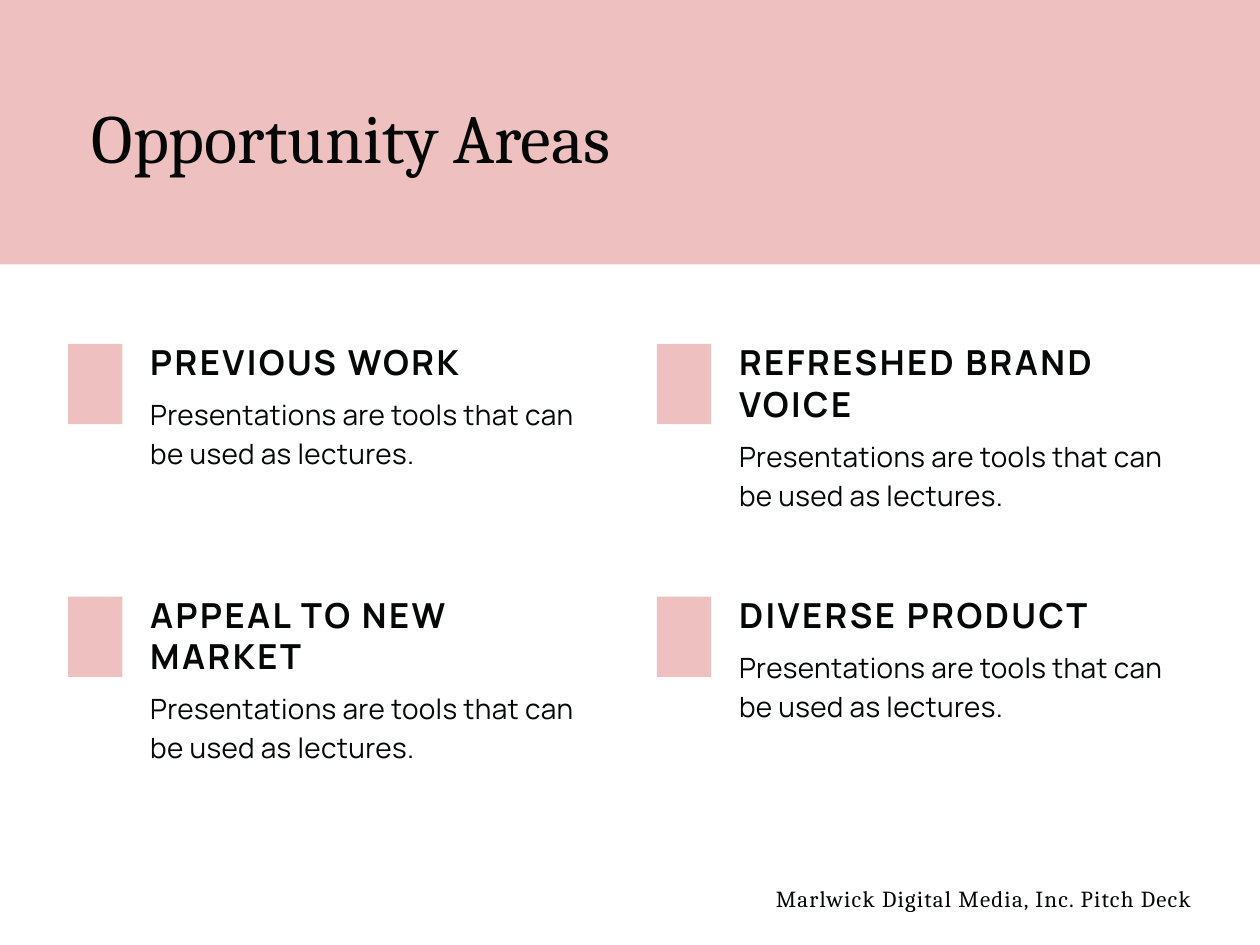
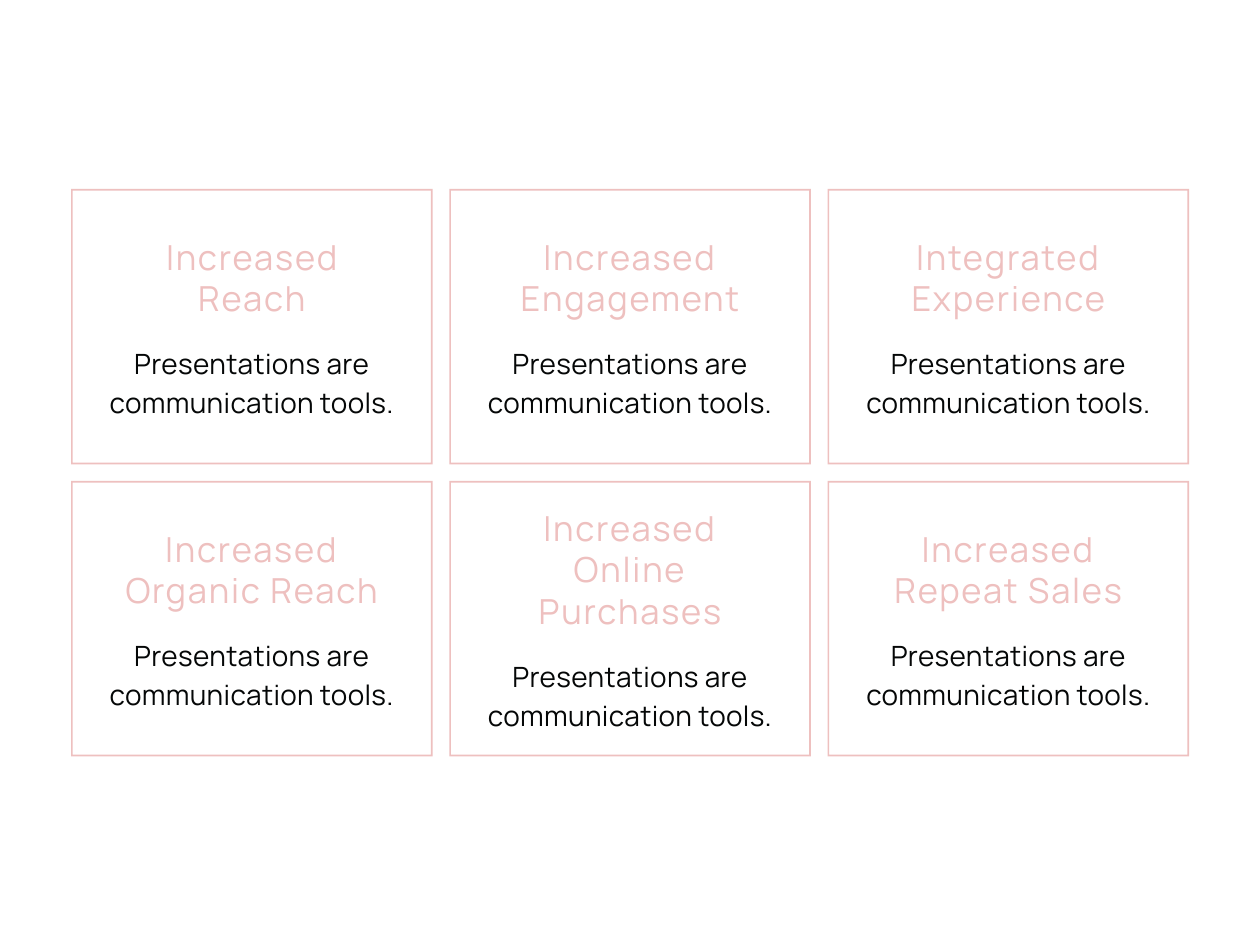
import pptx
import pptx.dml.color
import pptx.enum.shapes
import pptx.enum.text
import pptx.util

Pt = pptx.util.Pt
ALIGN = pptx.enum.text.PP_ALIGN

# Content
TITLE = "Opportunity Areas"
FOOTER = "Marlwick Digital Media, Inc. Pitch Deck"
AREA_TEXT = "Presentations are tools that can be used as lectures."
BENEFIT_TEXT = "Presentations are communication tools."
# Each heading comes with the number of lines it fills
AREAS = [
    [("PREVIOUS WORK", 1), ("REFRESHED BRAND VOICE", 2)],
    [("APPEAL TO NEW MARKET", 2), ("DIVERSE PRODUCT", 1)],
]
BENEFITS = [
    [("Increased\nReach", 2), ("Increased Engagement", 2), ("Integrated Experience", 2)],
    [("Increased Organic Reach", 2), ("Increased Online Purchases", 3), ("Increased Repeat Sales", 2)],
]

# Shared look
PINK, INK = "EEC0BF", "050707"
SLIDE_SIZE = (768.24, 576)
HEADING_LINE = 25.2
BODY_HEIGHT = 46.8


def text_style(font, size, line, color=INK, spacing=0, bold=False, align=ALIGN.LEFT):
    return {
        "font": {"name": font, "size": Pt(size), "bold": bold},
        "paragraph": {"line_spacing": Pt(line), "space_before": Pt(0), "alignment": align},
        "color": color,
        "spacing": spacing,
    }


TITLE_STYLE = text_style("Cambria", 42, 50.4)
FOOTER_STYLE = text_style("Cambria", 14, 19.6, spacing=0.7, align=ALIGN.RIGHT)
AREA_HEADING = text_style("Manrope", 21, HEADING_LINE, spacing=1.5, bold=True)
AREA_BODY = text_style("Manrope", 17, 23.8, spacing=0.2)
BENEFIT_HEADING = text_style("Manrope", 21, HEADING_LINE, PINK, 1.1, align=ALIGN.CENTER)
BENEFIT_BODY = text_style("Manrope", 17, 23.8, spacing=0.2, align=ALIGN.CENTER)


def rgb(color):
    return pptx.dml.color.RGBColor.from_string(color)


def set_attributes(target, values):
    for name, value in values.items():
        setattr(target, name, value)


def write_text(shape, text, style):
    frame = shape.text_frame
    set_attributes(frame, {
        "margin_left": 0, "margin_top": 0, "margin_right": 0, "margin_bottom": 0,
        "word_wrap": True,
        "auto_size": pptx.enum.text.MSO_AUTO_SIZE.SHAPE_TO_FIT_TEXT,
        "vertical_anchor": pptx.enum.text.MSO_ANCHOR.TOP,
    })
    frame.text = text
    for paragraph in frame.paragraphs:
        set_attributes(paragraph, style["paragraph"])
        for run in paragraph.runs:
            set_attributes(run.font, style["font"])
            run.font.color.rgb = rgb(style["color"])
            if style["spacing"]:
                run._r.get_or_add_rPr().set("spc", str(round(style["spacing"] * 100)))


def add_text(slide, text, box, style):
    write_text(slide.shapes.add_textbox(*map(Pt, box)), text, style)


def paint(shape):
    shape.shadow.inherit = False
    shape.fill.solid()
    shape.fill.fore_color.rgb = rgb(PINK)
    shape.line.fill.background()


def add_block(slide, box):
    block = slide.shapes.add_shape(pptx.enum.shapes.MSO_SHAPE.RECTANGLE, *map(Pt, box))
    paint(block)
    return block


def add_frame(slide, left, top, width, height, stroke=1):
    """Draw a hollow rectangle: an outer outline and an inner one running the other way."""
    def corners(inset):
        x1, y1 = Pt(left + inset), Pt(top + inset)
        x2, y2 = Pt(left + width - inset), Pt(top + height - inset)
        return [(x1, y1), (x1, y2), (x2, y2), (x2, y1)]

    outer, inner = corners(0), corners(stroke)[::-1]
    builder = slide.shapes.build_freeform(*outer[0])
    builder.add_line_segments(outer[1:], close=True)
    builder.move_to(*inner[0])
    builder.add_line_segments(inner[1:], close=True)
    paint(builder.convert_to_shape())


def add_heading_and_body(slide, left, top, width, heading, lines, body, gap, styles):
    heading_height = lines * HEADING_LINE
    add_text(slide, heading, (left, top, width, heading_height), styles[0])
    body_top = top + heading_height + gap
    add_text(slide, body, (left, body_top, width, BODY_HEIGHT), styles[1])


def grid(rows, left, top, step_x, step_y):
    for row_index, row in enumerate(rows):
        for column_index, (heading, lines) in enumerate(row):
            yield left + column_index * step_x, top + row_index * step_y, heading, lines


def build_opportunity_slide(presentation):
    slide = presentation.slides.add_slide(presentation.slide_layouts[5])
    title = slide.shapes.title
    set_attributes(title, {"left": Pt(56), "top": Pt(57.6), "width": Pt(656), "height": Pt(50.4)})
    write_text(title, TITLE, TITLE_STYLE)
    band = add_block(slide, (-10, -8, 788, 169.2))
    title.element.addprevious(band.element)

    for left, top, heading, lines in grid(AREAS, 41.6, 209.6, 359, 154):
        add_block(slide, (left, top, 33, 49))
        add_heading_and_body(slide, left + 50, top - 1.5, 276, heading, lines,
                             AREA_TEXT, 5.8, (AREA_HEADING, AREA_BODY))
    add_text(slide, FOOTER, (334.8, 536.4, 391.7, 18), FOOTER_STYLE)


def build_benefits_slide(presentation):
    slide = presentation.slides.add_slide(presentation.slide_layouts[6])
    width, height, gap, margin = 220.4, 167.8, 13.7, 22.8
    for left, top, heading, lines in grid(BENEFITS, 43.3, 115.2, 230.65, 178):
        add_frame(slide, left, top, width, height)
        text_height = lines * HEADING_LINE + gap + BODY_HEIGHT
        add_heading_and_body(slide, left + margin, top + (height - text_height) / 2,
                             width - 2 * margin, heading, lines,
                             BENEFIT_TEXT, gap, (BENEFIT_HEADING, BENEFIT_BODY))


def main():
    presentation = pptx.Presentation()
    presentation.slide_width, presentation.slide_height = map(Pt, SLIDE_SIZE)
    build_opportunity_slide(presentation)
    build_benefits_slide(presentation)
    presentation.save("out.pptx")


if __name__ == "__main__":
    main()
